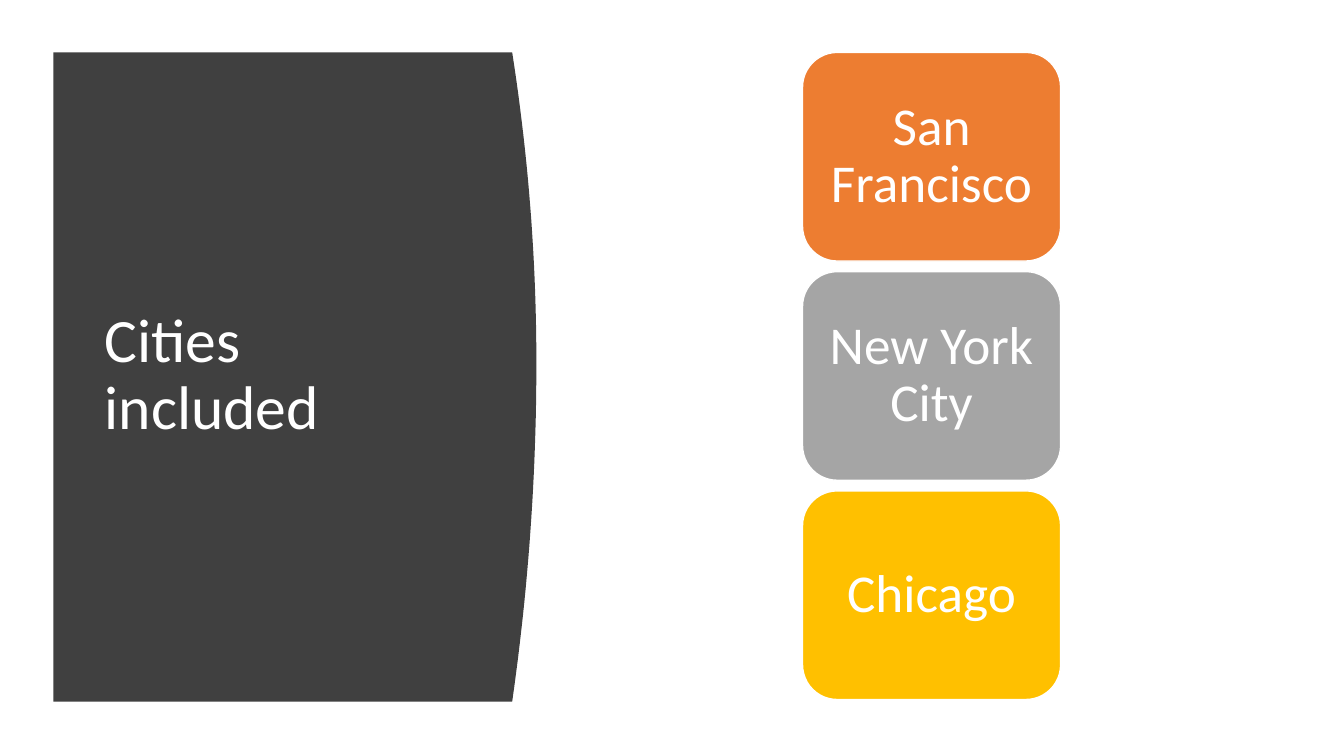
from pptx import Presentation
from pptx.dml.color import RGBColor
from pptx.enum.shapes import MSO_SHAPE
from pptx.enum.text import MSO_ANCHOR, PP_ALIGN
from pptx.util import Inches, Pt

ROUNDED = MSO_SHAPE.ROUNDED_RECTANGLE
MIDDLE = MSO_ANCHOR.MIDDLE
LEFT, CENTER = PP_ALIGN.LEFT, PP_ALIGN.CENTER

COLORS = {
    "panel": "404040",
    "white": "FFFFFF",
    "orange": "ED7D31",
    "gray": "A5A5A5",
    "gold": "FFC000",
}
CITIES = [
    ("San Francisco", "orange"),
    ("New York City", "gray"),
    ("Chicago", "gold"),
]

# Panel outline: the right edge bulges as a parabola on each side of its peak
PANEL_LEFT, PANEL_TOP, PANEL_BOTTOM = 0.53, 0.52, 6.96
EDGE_X, PEAK_X, PEAK_Y = 5.08, 5.32, 3.6
EDGE_STEPS = 46

# City card column
CARD_LEFT, CARD_TOP = 7.96, 0.52
CARD_WIDTH, CARD_HEIGHT, CARD_PITCH = 2.56, 2.07, 2.175


def rgb(name):
    return RGBColor.from_string(COLORS[name])


def set_fill(shape, color):
    shape.shadow.inherit = False
    shape.fill.solid()
    shape.fill.fore_color.rgb = rgb(color)


def write_text(shape, text, size, align, inset_x, inset_y):
    frame = shape.text_frame
    frame_format = {
        "word_wrap": True,
        "vertical_anchor": MIDDLE,
        "margin_left": Inches(inset_x),
        "margin_right": Inches(inset_x),
        "margin_top": Inches(inset_y),
        "margin_bottom": Inches(inset_y),
    }
    for attribute, value in frame_format.items():
        setattr(frame, attribute, value)

    paragraph = frame.paragraphs[0]
    paragraph.alignment = align
    paragraph.line_spacing = 0.9
    run = paragraph.add_run()
    run.text = text
    for attribute, value in {"name": "Calibri", "size": Pt(size)}.items():
        setattr(run.font, attribute, value)
    run.font.color.rgb = rgb("white")


def edge_point(step):
    y = PANEL_TOP + (PANEL_BOTTOM - PANEL_TOP) * step / EDGE_STEPS
    reach = PEAK_Y - PANEL_TOP if y < PEAK_Y else PANEL_BOTTOM - PEAK_Y
    x = PEAK_X - (PEAK_X - EDGE_X) * ((y - PEAK_Y) / reach) ** 2
    return Inches(x), Inches(y)


def add_panel(slide):
    outline = [edge_point(step) for step in range(EDGE_STEPS + 1)]
    outline.append((Inches(PANEL_LEFT), Inches(PANEL_BOTTOM)))
    builder = slide.shapes.build_freeform(Inches(PANEL_LEFT), Inches(PANEL_TOP))
    builder.add_line_segments(outline, close=True)
    panel = builder.convert_to_shape()
    set_fill(panel, "panel")
    panel.line.fill.background()


def add_title(slide, text):
    title = slide.shapes.add_textbox(
        Inches(0.94), Inches(1.11), Inches(3.74), Inches(5.24))
    write_text(title, text, 44, LEFT, 0.1, 0.05)


def add_city_card(slide, index, city, color):
    card = slide.shapes.add_shape(
        ROUNDED, Inches(CARD_LEFT), Inches(CARD_TOP + index * CARD_PITCH),
        Inches(CARD_WIDTH), Inches(CARD_HEIGHT))
    set_fill(card, color)
    card.line.color.rgb = rgb("white")
    card.line.width = Pt(1)
    write_text(card, city, 38, CENTER, 0.16, 0.08)


def main():
    presentation = Presentation()
    presentation.slide_width = Inches(13.33)
    presentation.slide_height = Inches(7.5)
    slide = presentation.slides.add_slide(presentation.slide_layouts[6])

    # Dark title panel
    add_panel(slide)
    add_title(slide, "Cities included")

    # Column of cities
    for index, (city, color) in enumerate(CITIES):
        add_city_card(slide, index, city, color)

    presentation.save("out.pptx")


if __name__ == "__main__":
    main()
